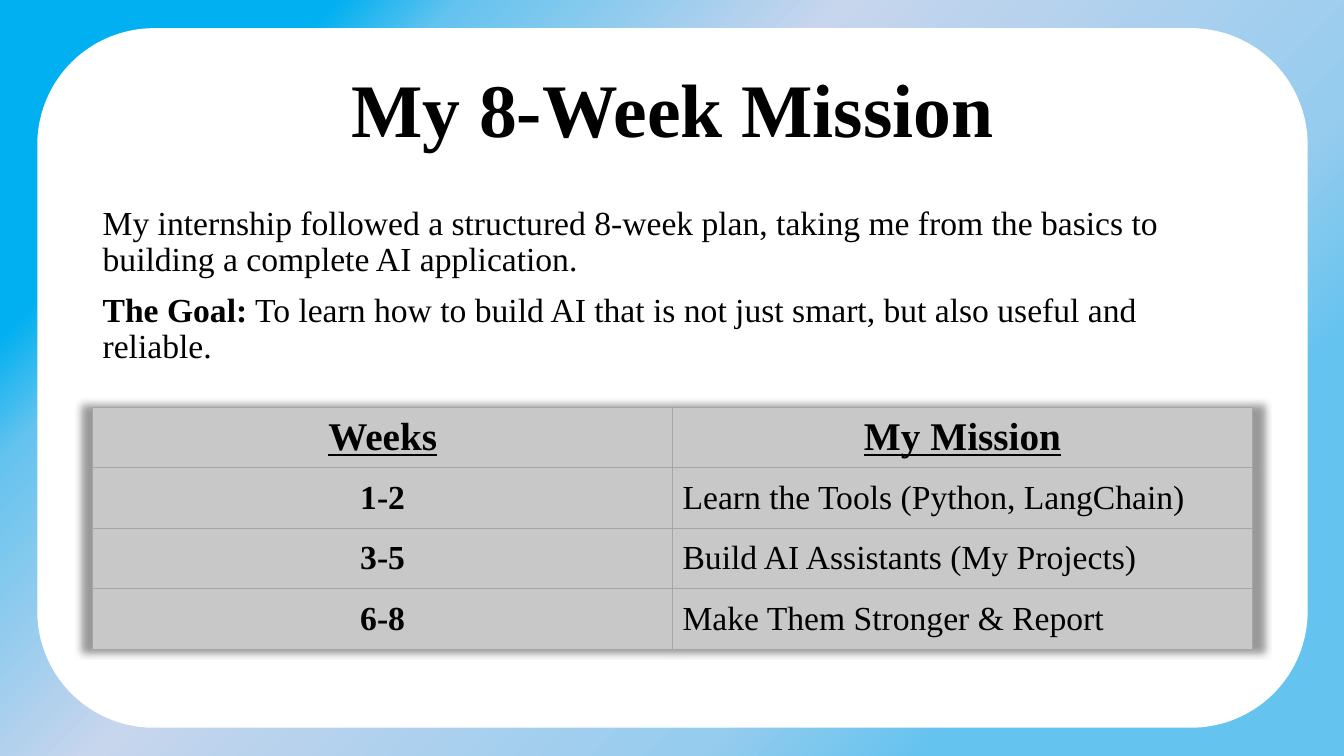
from dataclasses import dataclass

from lxml import etree
from pptx import Presentation
from pptx.dml.color import RGBColor
from pptx.enum.shapes import MSO_SHAPE
from pptx.enum.text import MSO_ANCHOR, PP_ALIGN
from pptx.oxml import parse_xml
from pptx.oxml.ns import nsdecls
from pptx.util import Inches, Pt

ROUND = MSO_SHAPE.ROUNDED_RECTANGLE
MIDDLE = MSO_ANCHOR.MIDDLE
LEFT, CENTER = PP_ALIGN.LEFT, PP_ALIGN.CENTER
BLACK = RGBColor(0x00, 0x00, 0x00)
WHITE = RGBColor(0xFF, 0xFF, 0xFF)
GREY = RGBColor(0xC8, 0xC8, 0xC8)
EDGE = RGBColor(0xA5, 0xA5, 0xA5)
STOPS = [
    (20, RGBColor(0x64, 0xC3, 0xEF)),
    (31, RGBColor(0x96, 0xCC, 0xEE)),
    (60, RGBColor(0xC7, 0xD5, 0xED)),
    (78, RGBColor(0x64, 0xC3, 0xEF)),
    (84, RGBColor(0x00, 0xB0, 0xF0)),
]
MARGIN, WIDTH = 0.92, 11.5


@dataclass
class Phase:
    weeks: str
    task: str


PHASES = [
    Phase("1-2", "Learn the Tools (Python, LangChain)"),
    Phase("3-5", "Build AI Assistants (My Projects)"),
    Phase("6-8", "Make Them Stronger & Report"),
]
INTRO = [
    [("My internship followed a structured 8-week plan, taking me from "
      "the basics to building a complete AI application.", False)],
    [("The Goal:", True),
     (" To learn how to build AI that is not just smart, but also useful "
      "and reliable.", False)],
]


def put(para, text: str, size: int, **style) -> None:
    run = para.add_run()
    run.text = text
    form = {"name": "Times New Roman", "size": Pt(size), **style}
    for key, value in form.items():
        setattr(run.font, key, value)
    run.font.color.rgb = BLACK


def paint_back(slide) -> None:
    """Fill the background with a gradient from the bottom right corner."""
    slide.background.fill.gradient()
    old = slide.background.fill._fill._gradFill
    stops = "".join(
        f'<a:gs pos="{pos * 1000}"><a:srgbClr val="{color}"/></a:gs>'
        for pos, color in STOPS)
    new = parse_xml(
        f'<a:gradFill {nsdecls("a")} rotWithShape="1"><a:gsLst>{stops}</a:gsLst>'
        '<a:path path="circle"><a:fillToRect l="100000" t="100000"/></a:path>'
        '<a:tileRect r="-100000" b="-100000"/></a:gradFill>')
    old.getparent().replace(old, new)


def add_panel(slide) -> None:
    panel = slide.shapes.add_shape(
        ROUND, Inches(0.37), Inches(0.28), Inches(12.6), Inches(6.94))
    panel.shadow.inherit = False
    panel.fill.solid()
    panel.fill.fore_color.rgb = WHITE
    panel.line.fill.background()
    tree = slide.shapes._spTree
    tree.remove(panel._element)
    tree.insert(2, panel._element)


def add_title(slide) -> None:
    title = slide.shapes.title
    title.left, title.top = Inches(MARGIN), Inches(0.4)
    title.width, title.height = Inches(WIDTH), Inches(1.45)
    frame = title.text_frame
    frame.vertical_anchor = MIDDLE
    para = frame.paragraphs[0]
    para.alignment, para.line_spacing = CENTER, 0.9
    put(para, "My 8-Week Mission", 54, bold=True)


def add_intro(slide) -> None:
    box = slide.shapes.add_textbox(
        Inches(MARGIN), Inches(2), Inches(WIDTH), Inches(1.9))
    frame = box.text_frame
    frame.word_wrap = True
    for i, runs in enumerate(INTRO):
        para = frame.add_paragraph() if i else frame.paragraphs[0]
        para.line_spacing, para.space_before = 0.9, Pt(10)
        for text, bold in runs:
            put(para, text, 24, bold=bold)


def fill_cell(cell, text: str, size: int, align, **style) -> None:
    cell.fill.solid()
    cell.fill.fore_color.rgb = GREY
    cell.vertical_anchor = MIDDLE
    para = cell.text_frame.paragraphs[0]
    para.alignment = align
    put(para, text, size, **style)
    props = cell._tc.get_or_add_tcPr()
    for i, side in enumerate("LRTB"):
        props.insert(i, parse_xml(
            f'<a:ln{side} {nsdecls("a")} w="{Pt(0.5)}"><a:solidFill>'
            f'<a:srgbClr val="{EDGE}"/></a:solidFill></a:ln{side}>'))


def add_shade(table) -> None:
    """Give the table a soft shadow, slightly larger than itself."""
    props = table._tbl.tblPr
    for child in list(props):
        props.remove(child)
    props.append(parse_xml(
        f'<a:effectLst {nsdecls("a")}><a:outerShdw blurRad="{Pt(5)}" '
        'sx="102000" sy="102000" algn="ctr" rotWithShape="0">'
        f'<a:srgbClr val="{BLACK}"><a:alpha val="40000"/></a:srgbClr>'
        '</a:outerShdw></a:effectLst>'))
    style = etree.SubElement(props, props[0].tag.replace("effectLst", "tableStyleId"))
    style.text = "{2D5ABB26-0587-4C30-8999-92F81FD0307C}"


def add_plan(slide) -> None:
    count = len(PHASES) + 1
    table = slide.shapes.add_table(
        count, 2, Inches(MARGIN), Inches(4.04),
        Inches(WIDTH), Inches(0.6 * count)).table
    table.first_row = table.horz_banding = False
    add_shade(table)
    for col, head in enumerate(("Weeks", "My Mission")):
        fill_cell(table.cell(0, col), head, 28, CENTER, bold=True, underline=True)
    for row, phase in enumerate(PHASES, 1):
        fill_cell(table.cell(row, 0), phase.weeks, 24, CENTER, bold=True)
        fill_cell(table.cell(row, 1), phase.task, 24, LEFT, bold=False)


def main() -> None:
    deck = Presentation()
    deck.slide_width, deck.slide_height = Inches(13.33), Inches(7.5)
    slide = deck.slides.add_slide(deck.slide_layouts[5])
    paint_back(slide)
    add_panel(slide)
    add_title(slide)
    add_intro(slide)
    add_plan(slide)
    deck.save("out.pptx")


if __name__ == "__main__":
    main()
